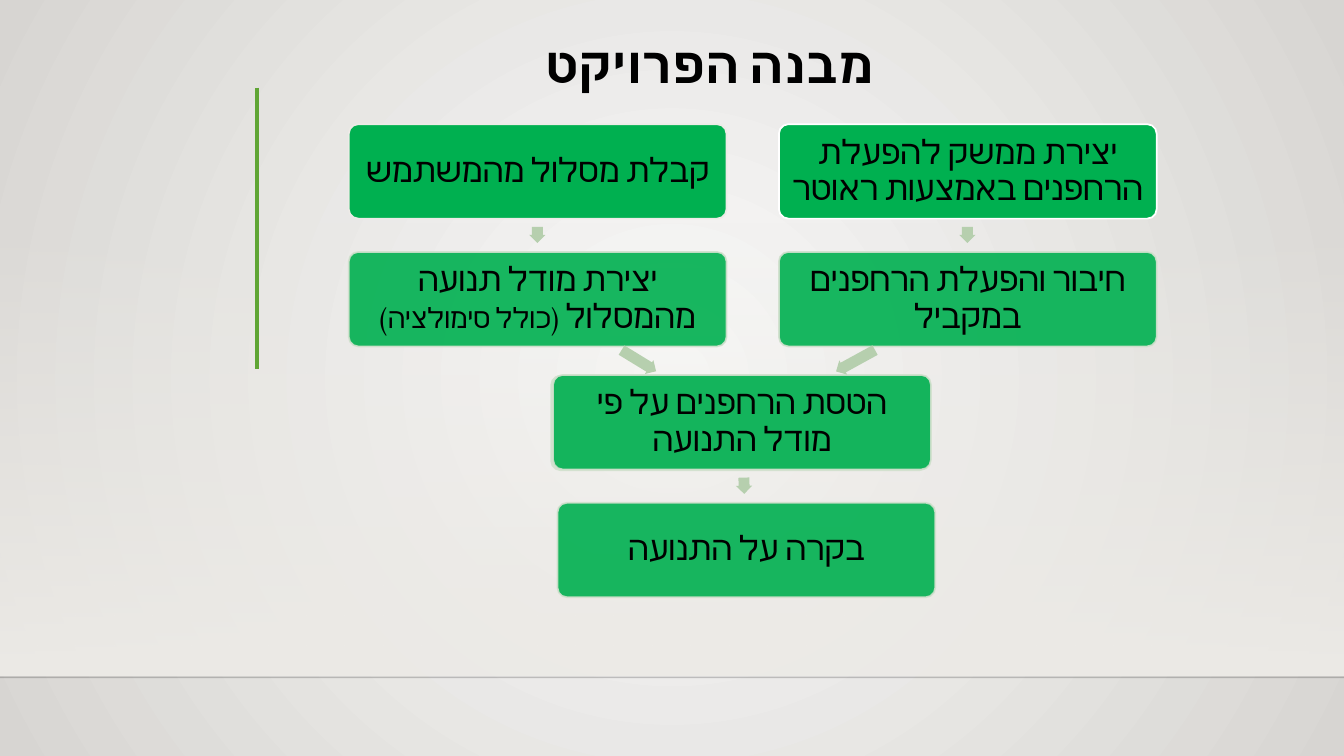
import pptx
import pptx.util
import pptx.dml.color
import pptx.enum.shapes
import pptx.enum.text
import pptx.oxml
import pptx.oxml.ns

Cm, Pt = pptx.util.Cm, pptx.util.Pt
KIND = pptx.enum.shapes.MSO_SHAPE
TEXT = pptx.enum.text

TITLE = "מבנה הפרויקט"
FACE = "Vollkorn"
HUES = {"green": "00B050", "pale": "D2E1CE", "arrow": "B6CFAE", "sand": "EDEBE7",
        "white": "FFFFFF", "black": "000000", "rule": "5FA534", "floor": "000001",
        "light": "FAFAF9", "dark": "D7D5D2"}

WIDE, HIGH = 9.52, 2.38
# left, top, fill, line, opacity in percent, runs of (text, size)
BOXES = [
    (8.79, 3.13, "green", "sand", 100, [("קבלת מסלול מהמשתמש", 24)]),
    (8.79, 6.35, "green", "pale", 90,
     [("יצירת מודל תנועה מהמסלול ", 24), ("(כולל סימולציה)", 20)]),
    (13.89, 9.47, "pale", "pale", 90, []),
    (19.63, 3.13, "green", "white", 100,
     [("יצירת ממשק להפעלת הרחפנים באמצעות ראוטר", 24)]),
    (19.63, 6.35, "green", "pale", 90, [("חיבור והפעלת הרחפנים במקביל", 24)]),
    (13.94, 9.45, "green", "pale", 90, [("הטסת הרחפנים על פי מודל התנועה", 24)]),
    (14.05, 12.67, "green", "pale", 90, [("בקרה על התנועה", 24)]),
]
THICK = 0.41
# centre x, centre y, length, turn in degrees
ARROWS = [(13.54, 5.92, THICK, 90), (24.38, 5.92, THICK, 90),
          (16.1, 9.09, 1.02, 31.4), (21.56, 9.09, 1.12, 151.3),
          (18.75, 12.24, THICK, 88.5)]
# start x, start y, end x, end y, colour, width, opacity
LINES = [(0, 17.07, 33.87, 17.07, "floor", 1, 20),
         (6.48, 2.21, 6.48, 9.3, "rule", 3, 100)]

BODY = {"word_wrap": True, "vertical_anchor": TEXT.MSO_ANCHOR.MIDDLE,
        "margin_left": Cm(0.15), "margin_right": Cm(0.15),
        "margin_top": Cm(0.15), "margin_bottom": Cm(0.15)}
HEAD = {"word_wrap": True, "vertical_anchor": TEXT.MSO_ANCHOR.TOP,
        "auto_size": TEXT.MSO_AUTO_SIZE.NONE}


def style(item, looks):
    for name, value in looks.items():
        setattr(item, name, value)


def hue(name):
    return pptx.dml.color.RGBColor.from_string(HUES[name])


def child(node, tag, **attrs):
    part = pptx.oxml.parse_xml(f"<a:{tag} {pptx.oxml.ns.nsdecls('a')}/>")
    for name, value in attrs.items():
        part.set(name, str(value))
    node.append(part)
    return part


def fade(node, share):
    """Give every colour inside node the opacity share, in percent."""
    if share < 100:
        for color in node.iter(pptx.oxml.ns.qn("a:srgbClr")):
            child(color, "alpha", val=share * 1000)


def blend(fill, first, last):
    """Set a two-stop gradient and return its XML node."""
    fill.gradient()
    for stop, name in zip(fill.gradient_stops, (first, last)):
        stop.color.rgb = hue(name)
    for stop, place in zip(fill.gradient_stops, (0, 1)):
        stop.position = place


def write(frame, runs, bold=False):
    para = frame.paragraphs[0]
    style(para, {"alignment": TEXT.PP_ALIGN.CENTER, "line_spacing": 0.9})
    para._p.get_or_add_pPr().set("rtl", "1")
    for text, size in runs:
        run = para.add_run()
        run.text = text
        style(run.font, {"name": FACE, "size": Pt(size), "bold": bold})
        run.font.color.rgb = hue("black")
        child(run.font._element, "cs", typeface=FACE)


def block(slide, kind, left, top, wide, high):
    shape = slide.shapes.add_shape(kind, Cm(left), Cm(top), Cm(wide), Cm(high))
    shape.shadow.inherit = False
    shape.line.fill.background()
    return shape


def paint(slide):
    """Draw the backdrop, its lower band and the two lines."""
    back = slide.background
    blend(back.fill, "light", "dark")
    grad = next(slide._element.iter(pptx.oxml.ns.qn("a:gradFill")))
    grad.remove(grad.find(pptx.oxml.ns.qn("a:lin")))
    ring = child(grad, "path", path="circle")
    child(ring, "fillToRect", l=50000, t=50000, r=50000, b=50000)

    band = block(slide, KIND.RECTANGLE, 0, 5.59, 33.87, 11.43)
    blend(band.fill, "sand", "sand")
    band.fill.gradient_angle = 270
    child(next(band._element.iter(pptx.oxml.ns.qn("a:srgbClr"))), "alpha", val=0)

    for x1, y1, x2, y2, name, width, share in LINES:
        line = slide.shapes.add_connector(
            pptx.enum.shapes.MSO_CONNECTOR.STRAIGHT, Cm(x1), Cm(y1), Cm(x2), Cm(y2))
        line.line.color.rgb = hue(name)
        line.line.width = Pt(width)
        fade(line._element.spPr, share)
        child(line._element.spPr, "effectLst")


def main():
    deck = pptx.Presentation()
    style(deck, {"slide_width": Cm(33.87), "slide_height": Cm(19.05)})
    slide = deck.slides.add_slide(deck.slide_layouts[5])
    paint(slide)

    title = slide.shapes.title
    style(title, {"left": Cm(11), "top": Cm(0.71), "width": Cm(13.77), "height": Cm(1.8)})
    style(title.text_frame, HEAD)
    write(title.text_frame, [(TITLE, 36)], bold=True)
    title.text_frame.paragraphs[0].line_spacing = 1.0

    for left, top, fill, edge, share, runs in BOXES:
        box = block(slide, KIND.ROUNDED_RECTANGLE, left, top, WIDE, HIGH)
        box.adjustments[0] = 0.1
        box.fill.solid()
        box.fill.fore_color.rgb = hue(fill)
        box.line.color.rgb = hue(edge)
        box.line.width = Pt(1.25)
        fade(box._element.spPr, share)
        if runs:
            style(box.text_frame, BODY)
            write(box.text_frame, runs)

    for x, y, size, turn in ARROWS:
        arrow = block(slide, KIND.RIGHT_ARROW, x - size / 2, y - THICK / 2, size, THICK)
        arrow.rotation = turn
        arrow.adjustments[0] = 0.67
        arrow.fill.solid()
        arrow.fill.fore_color.rgb = hue("arrow")

    deck.save("out.pptx")


if __name__ == "__main__":
    main()
